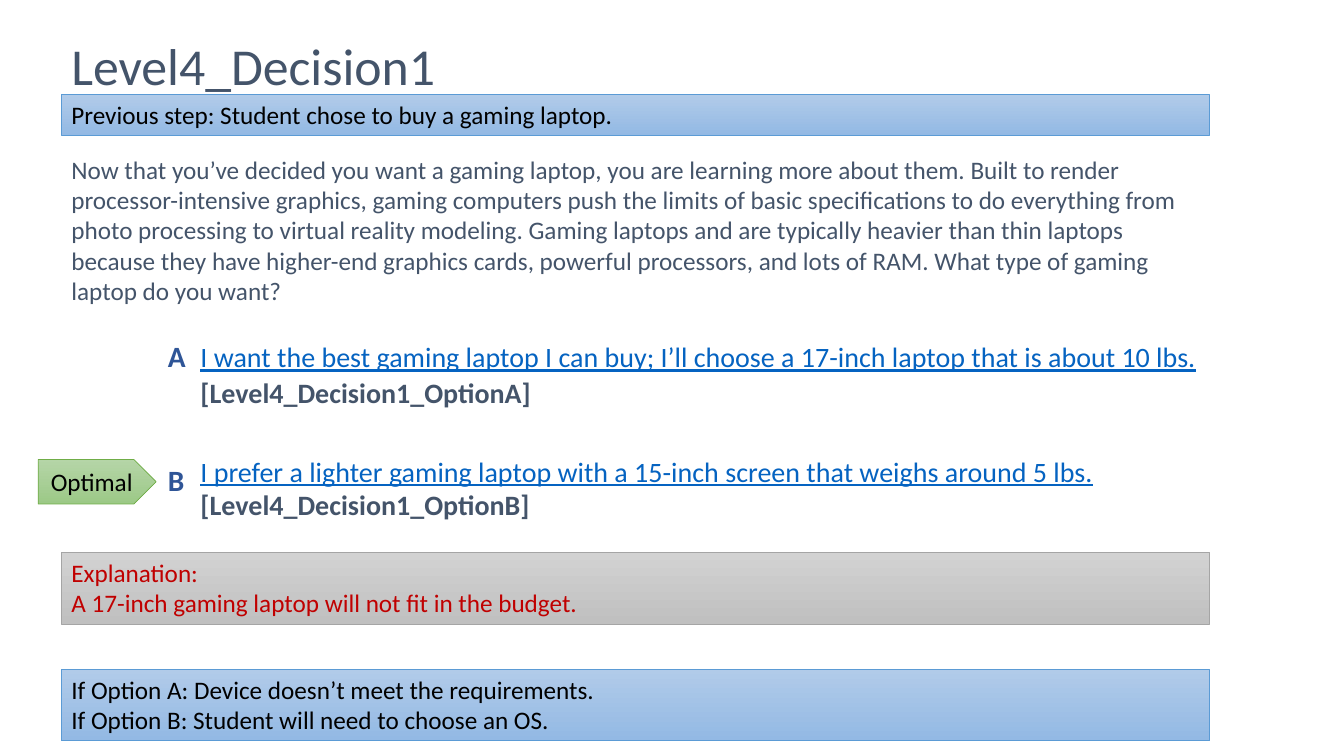
from pptx import Presentation
from pptx.dml.color import RGBColor
from pptx.enum.shapes import MSO_SHAPE as Preset
from pptx.enum.text import MSO_ANCHOR as Anchor, PP_ALIGN as Align
from pptx.util import Pt

SLATE, NAVY, LINK, RED, BLACK = "44546A", "2F5597", "0563C1", "C00000", "000000"
BLUE_BAND = ("B1CBE9", "93B9E4", "5B9BD5")
GRAY_BAND = ("D2D2D2", "C0C0C0", "A5A5A5")
GREEN_TAG = ("B5D5A7", "9CC987", "70AD47")
LEFT, WIDTH = 43.92, 820.08


def color(hex_text):
    return RGBColor.from_string(hex_text)


def add_span(para, text, size=18, ink=SLATE, bold=False, underline=False):
    span = para.add_run()
    span.text = text
    font = span.font
    font.name, font.size, font.bold, font.underline = "Calibri", Pt(size), bold, underline
    font.color.rgb = color(ink)


def write_lines(shape, lines, anchor=Anchor.TOP, align=Align.LEFT, spacing=None, **style):
    """Write one paragraph per line, all in the same format."""
    frame = shape.text_frame
    frame.word_wrap = True
    frame.vertical_anchor = anchor
    for index, line in enumerate(lines):
        para = frame.add_paragraph() if index else frame.paragraphs[0]
        para.alignment = align
        if spacing:
            para.line_spacing = spacing
        add_span(para, line, **style)


def add_text(page, box, lines, inset=(7.2, 3.6), **style):
    shape = page.shapes.add_textbox(*map(Pt, box))
    frame = shape.text_frame
    frame.margin_left = frame.margin_right = Pt(inset[0])
    frame.margin_top = frame.margin_bottom = Pt(inset[1])
    write_lines(shape, lines, **style)


def add_panel(page, box, lines, tones, preset=Preset.RECTANGLE, **style):
    """Draw a shape shaded from top to bottom; tones are top, bottom and outline."""
    shape = page.shapes.add_shape(preset, *map(Pt, box))
    shape.shadow.inherit = False
    shape.fill.gradient()
    shape.fill.gradient_angle = 270
    for stop, tone in zip(shape.fill.gradient_stops, tones):
        stop.color.rgb = color(tone)
    shape.line.color.rgb = color(tones[2])
    shape.line.width = Pt(0.5)
    write_lines(shape, lines, **style)


def add_options(page, box, options):
    """Write the linked choices, each with its target, and their letters beside them."""
    left, top, width, height = box
    frame = page.shapes.add_textbox(*map(Pt, box)).text_frame
    frame.word_wrap = True
    for index, (letter, offset, choice, target) in enumerate(options):
        para = frame.add_paragraph() if index else frame.paragraphs[0]
        if index == 0:
            para.line_spacing = 1.07
            para.space_after = Pt(32)
        add_span(para, choice, size=20, ink=LINK, underline=True)
        add_span(para, f" {target}", size=20, bold=True)
        letter_box = (left - 25.5, top + offset, 50, 36)
        add_text(page, letter_box, [letter], inset=(9.36, 5.04), size=21, ink=NAVY, bold=True)


def build_decision(page):
    add_text(page, (LEFT, 4.32, WIDTH, 90), ["Level4_Decision1"],
             anchor=Anchor.MIDDLE, spacing=0.9, size=37)
    add_options(page, (136.08, 237.6, 754.56, 193.68), [
        ("A", -1.44,
         "I want the best gaming laptop I can buy; I’ll choose a 17-inch laptop that is about 10 lbs.",
         "[Level4_Decision1_OptionA]"),
        ("B", 87.12,
         "I prefer a lighter gaming laptop with a 15-inch screen that weighs around 5 lbs.",
         "[Level4_Decision1_OptionB]"),
    ])
    add_panel(page, (27.36, 328.32, 84.24, 31.68), ["Optimal"], GREEN_TAG, Preset.PENTAGON,
              anchor=Anchor.MIDDLE, align=Align.CENTER, ink=BLACK)
    bands = [
        (478.08, 51.12, BLUE_BAND, BLACK,
         ["If Option A: Device doesn’t meet the requirements.",
          "If Option B: Student will need to choose an OS."]),
        (394.56, 51.12, GRAY_BAND, RED,
         ["Explanation:", "A 17-inch gaming laptop will not fit in the budget."]),
        (67.68, 29, BLUE_BAND, BLACK,
         ["Previous step: Student chose to buy a gaming laptop."]),
    ]
    for top, height, tones, ink, lines in bands:
        add_panel(page, (LEFT, top, WIDTH, height), lines, tones, ink=ink)
    add_text(page, (LEFT, 106.56, WIDTH, 138.24), [
        "Now that you’ve decided you want a gaming laptop, you are learning more about them. "
        "Built to render processor-intensive graphics, gaming computers push the limits of basic "
        "specifications to do everything from photo processing to virtual reality modeling. "
        "Gaming laptops and are typically heavier than thin laptops because they have higher-end "
        "graphics cards, powerful processors, and lots of RAM. What type of gaming laptop do you want?"
    ])


def main():
    deck = Presentation()
    deck.slide_width, deck.slide_height = Pt(960), Pt(540)
    build_decision(deck.slides.add_slide(deck.slide_layouts[6]))
    deck.save("out.pptx")


if __name__ == "__main__":
    main()
